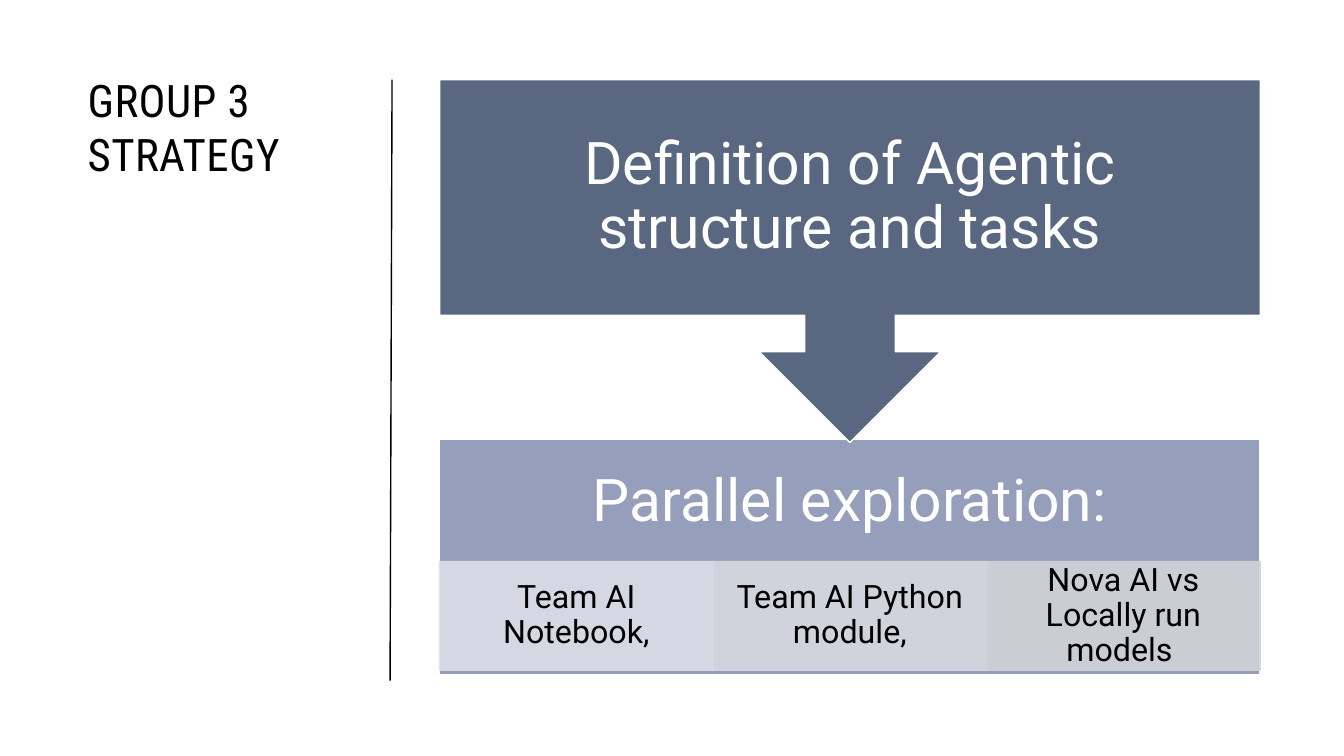
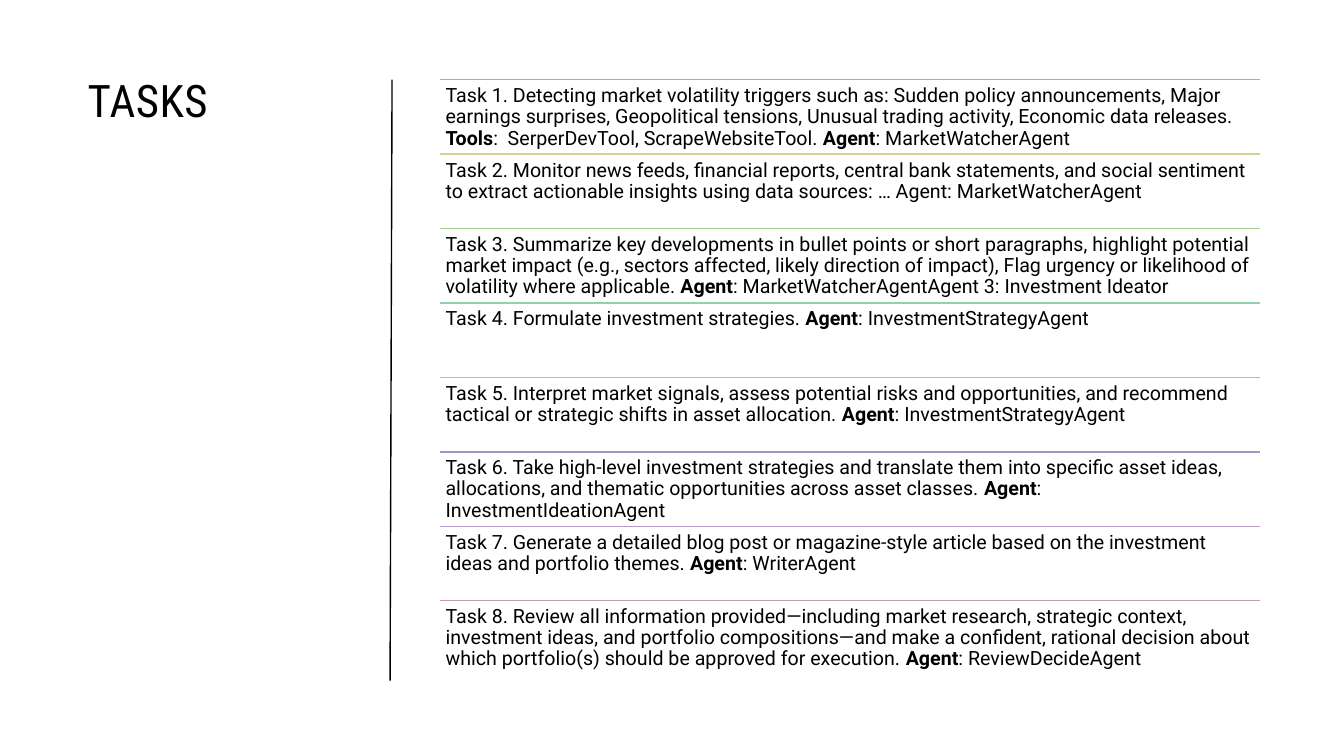
from dataclasses import dataclass

from lxml import etree
from pptx import Presentation
from pptx import util as u
from pptx.dml.color import RGBColor
from pptx.enum import shapes, text
from pptx.oxml import ns

COLORS = {
    "ink": "000000", "white": "FFFFFF",
    "definition": "596781", "exploration": "959EBB",
}
TITLE_FONT, BODY_FONT = "Roboto Condensed", "Roboto"
LEFT, TOP, WIDTH = 11.08, 2.01, 20.68  # content area, cm
TASK_HEIGHT = 15 / 8


@dataclass(frozen=True)
class Box:
    left: float
    top: float
    width: float
    height: float

    def lengths(self) -> list[u.Length]:
        return [u.Cm(n) for n in (self.left, self.top, self.width, self.height)]


@dataclass(frozen=True)
class TextStyle:
    size: int
    color: str
    insets: tuple[float, float, float, float]  # left, top, right, bottom in cm
    font: str = BODY_FONT
    align: text.PP_ALIGN = text.PP_ALIGN.LEFT
    anchor: text.MSO_ANCHOR = text.MSO_ANCHOR.TOP
    line_spacing: float = 0.9
    tracking: int = 0  # hundredths of a point


@dataclass(frozen=True)
class Item:
    wording: str
    color: str


CENTERED = {"align": text.PP_ALIGN.CENTER, "anchor": text.MSO_ANCHOR.MIDDLE}
TITLE = TextStyle(32, COLORS["ink"], (0.25, 0.13, 0.25, 0.13), TITLE_FONT,
                  line_spacing=1.0, tracking=30)
DEFINITION = TextStyle(42, COLORS["white"], (0.85,) * 4, **CENTERED)
EXPLORATION = TextStyle(42, COLORS["white"], (0.85, 0.5, 0.85, 3.24), **CENTERED)
TRACK = TextStyle(23, COLORS["ink"], (0.46, 0.08, 0.46, 0.08), **CENTERED)
TASK = TextStyle(14, COLORS["ink"], (0.15,) * 4)

TRACKS = [
    Item("Team AI Notebook,", "DDDFE7"),
    Item("Team AI Python module,", "D7D9E0"),
    Item("Nova AI vs Locally run models ", "D1D3D8"),
]
TASKS = [
    Item("Task 1. Detecting market volatility triggers such as: Sudden policy "
         "announcements, Major earnings surprises, Geopolitical tensions, Unusual "
         "trading activity, Economic data releases. **Tools**:  SerperDevTool, "
         "ScrapeWebsiteTool. **Agent**: MarketWatcherAgent", "DB9A8F"),
    Item("Task 2. Monitor news feeds, financial reports, central bank statements, "
         "and social sentiment to extract actionable insights using data sources: "
         "… Agent: MarketWatcherAgent", "D8D090"),
    Item("Task 3. Summarize key developments in bullet points or short paragraphs, "
         "highlight potential market impact (e.g., sectors affected, likely "
         "direction of impact), Flag urgency or likelihood of volatility where "
         "applicable. **Agent**: MarketWatcherAgentAgent 3: Investment Ideator",
         "A9D492"),
    Item("Task 4. Formulate investment strategies. "
         "**Agent**: InvestmentStrategyAgent", "93D1AC"),
    Item("Task 5. Interpret market signals, assess potential risks and "
         "opportunities, and recommend tactical or strategic shifts in asset "
         "allocation. **Agent**: InvestmentStrategyAgent", "95C4CD"),
    Item("Task 6. Take high-level investment strategies and translate them into "
         "specific asset ideas, allocations, and thematic opportunities across "
         "asset classes. **Agent**: InvestmentIdeationAgent", "969BCA"),
    Item("Task 7. Generate a detailed blog post or magazine-style article based on "
         "the investment ideas and portfolio themes. **Agent**: WriterAgent",
         "B798C6"),
    Item("Task 8. Review all information provided—including market research, "
         "strategic context, investment ideas, and portfolio compositions—and make "
         "a confident, rational decision about which portfolio(s) should be "
         "approved for execution. **Agent**: ReviewDecideAgent", "C29AB1"),
]


def write(frame, wording: str, style: TextStyle) -> None:
    """Fill a text frame; words between ** marks become bold."""
    frame.word_wrap = True
    frame.vertical_anchor = style.anchor
    (frame.margin_left, frame.margin_top,
     frame.margin_right, frame.margin_bottom) = map(u.Cm, style.insets)
    paragraph = frame.paragraphs[0]
    paragraph.alignment = style.align
    paragraph.line_spacing = style.line_spacing
    for index, part in enumerate(wording.split("**")):
        run = paragraph.add_run()
        run.text = part
        run.font.name = style.font
        run.font.size = u.Pt(style.size)
        run.font.bold = index % 2 == 1
        run.font.color.rgb = RGBColor.from_string(style.color)
        if style.tracking:
            run.font._element.set("spc", str(style.tracking))


def add_text(slide, box: Box, wording: str, style: TextStyle) -> None:
    write(slide.shapes.add_textbox(*box.lengths()).text_frame, wording, style)


def add_panel(slide, preset: shapes.MSO_SHAPE, box: Box, fill: str, line: str,
              wording: str, style: TextStyle, opacity: int = 100) -> None:
    panel = slide.shapes.add_shape(preset, *box.lengths())
    panel.shadow.inherit = False
    panel.fill.solid()
    panel.fill.fore_color.rgb = RGBColor.from_string(fill)
    panel.line.color.rgb = RGBColor.from_string(line)
    panel.line.width = u.Pt(1)
    if opacity < 100:
        for color in panel._element.spPr.iter(ns.qn("a:srgbClr")):
            etree.SubElement(color, ns.qn("a:alpha"), val=str(opacity * 1000))
    write(panel.text_frame, wording, style)


def add_rule(slide, x1: float, y1: float, x2: float, y2: float, color: str) -> None:
    rule = slide.shapes.add_connector(
        shapes.MSO_CONNECTOR.STRAIGHT, u.Cm(x1), u.Cm(y1), u.Cm(x2), u.Cm(y2))
    rule.line.color.rgb = RGBColor.from_string(color)
    rule.line.width = u.Pt(1)
    etree.SubElement(rule._element.spPr, ns.qn("a:effectLst"))


def add_titled_slide(deck, title: str):
    """Add a slide with the shared title column and divider."""
    slide = deck.slides.add_slide(deck.slide_layouts[6])
    add_text(slide, Box(1.96, 1.7, 7.01, 12.47), title, TITLE)
    add_rule(slide, 9.83, 17.15, 9.88, TOP, COLORS["ink"])
    return slide


def build_strategy(deck) -> None:
    slide = add_titled_slide(deck, "GROUP 3 STRATEGY")
    add_panel(slide, shapes.MSO_SHAPE.RECTANGLE, Box(LEFT, 11.07, WIDTH, 5.94),
              COLORS["exploration"], COLORS["white"],
              "Parallel exploration:", EXPLORATION)
    track_width = WIDTH / len(TRACKS)
    for index, track in enumerate(TRACKS):
        add_panel(slide, shapes.MSO_SHAPE.RECTANGLE,
                  Box(LEFT + index * track_width, 14.15, track_width, 2.74),
                  track.color, track.color, track.wording, TRACK, opacity=90)
    add_panel(slide, shapes.MSO_SHAPE.DOWN_ARROW_CALLOUT,
              Box(LEFT, TOP, WIDTH, 9.14),
              COLORS["definition"], COLORS["white"],
              "Definition of Agentic structure and tasks", DEFINITION)


def build_tasks(deck) -> None:
    slide = add_titled_slide(deck, "TASKS")
    for index, task in enumerate(TASKS):
        top = TOP + index * TASK_HEIGHT
        add_rule(slide, LEFT, top, LEFT + WIDTH, top, task.color)
        add_text(slide, Box(LEFT, top, WIDTH, TASK_HEIGHT), task.wording, TASK)


def main() -> None:
    deck = Presentation()
    deck.slide_width, deck.slide_height = u.Cm(33.87), u.Cm(19.05)
    build_strategy(deck)
    build_tasks(deck)
    deck.save("out.pptx")


if __name__ == "__main__":
    main()
